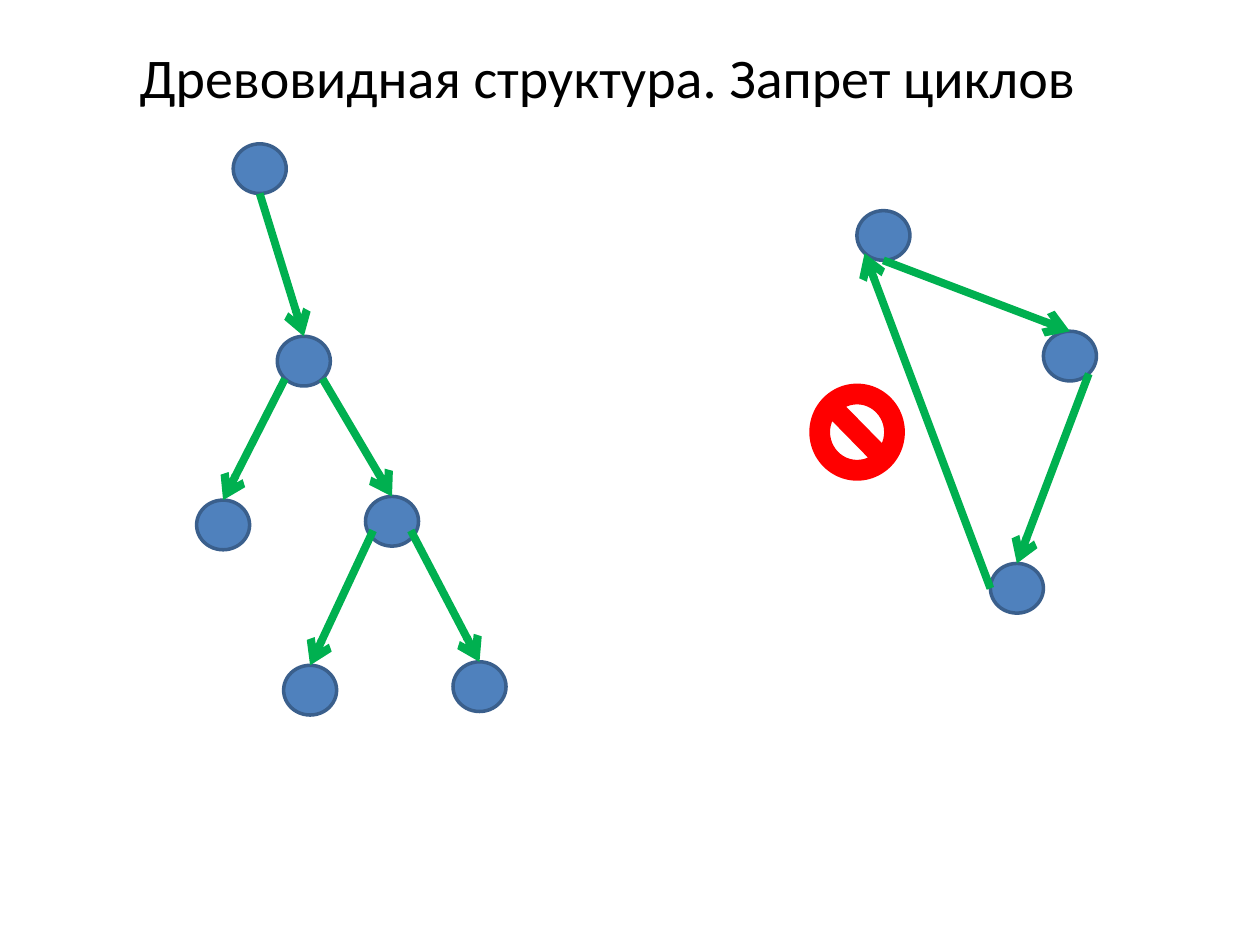
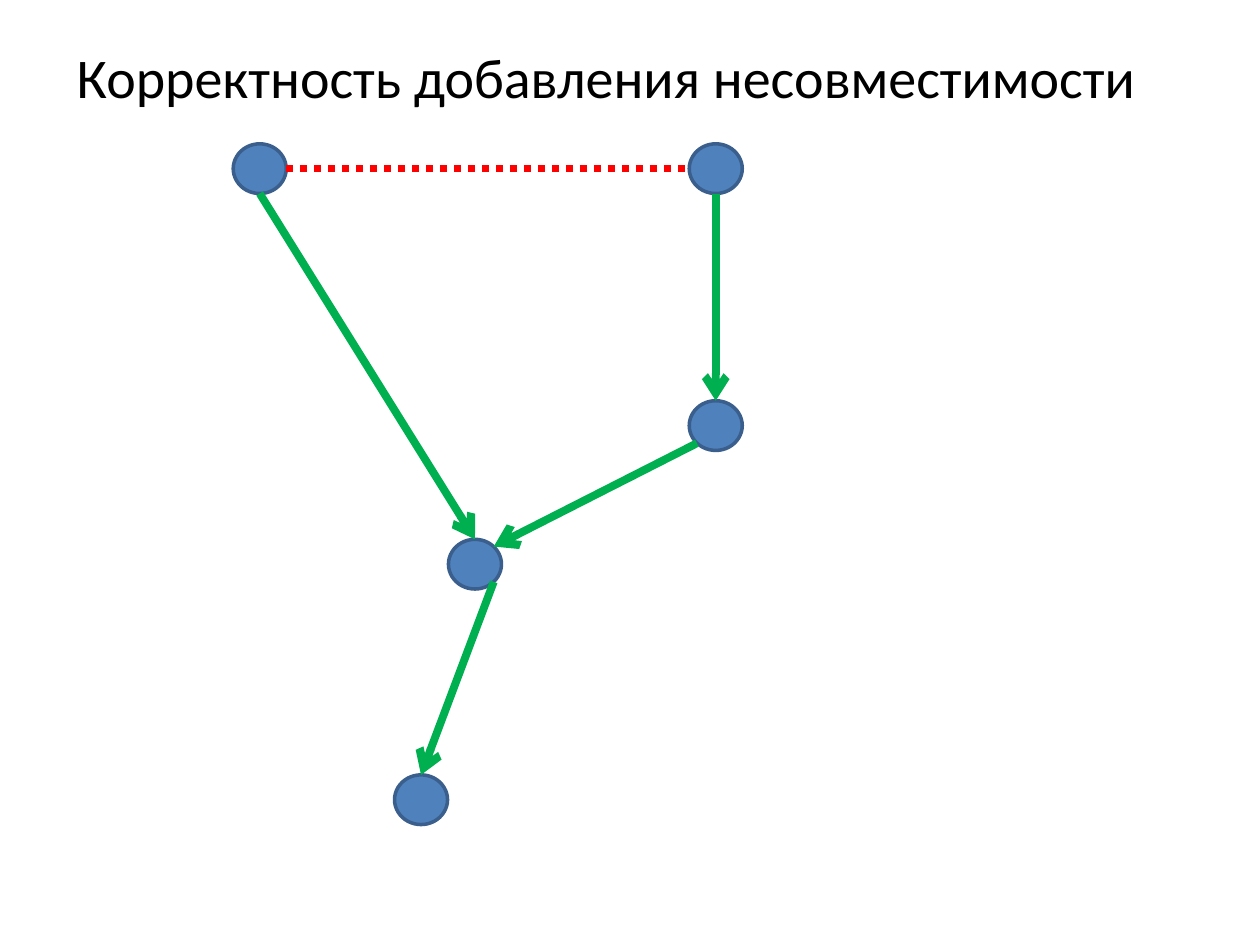
"""Build two slides on tree structure and incompatibility of graph nodes."""
from dataclasses import dataclass, field

from pptx import Presentation
from pptx.dml.color import RGBColor
from pptx.enum.dml import MSO_LINE
from pptx.enum.shapes import MSO_CONNECTOR, MSO_SHAPE
from pptx.enum.text import MSO_AUTO_SIZE
from pptx.oxml.ns import qn
from pptx.shapes.autoshape import Shape
from pptx.slide import Slide
from pptx.util import Pt
from lxml.etree import SubElement

COLORS = {
    "node": "4F81BD",
    "node_edge": "3A5F8C",
    "arrow": "00B050",
    "ban": "FF0000",
    "title": "000000",
}
FONT = "Calibri"
TITLE_SIZE = 32
TITLE_TOP, TITLE_HEIGHT = 20.9, 46
NODE_WIDTH, NODE_HEIGHT = 30.3, 28.4
OUTLINE, ARROW_WIDTH, CONFLICT_WIDTH = 2, 4.5, 4
ANCHORS = {
    "top": (0, -1),
    "bottom": (0, 1),
    "left": (-1, 0),
    "right": (1, 0),
    "top_right": (0.71, -0.71),
    "bottom_left": (-0.71, 0.71),
    "bottom_right": (0.71, 0.71),
    "low_left": (-0.71, 0.37),
    "low_right": (0.71, 0.37),
}


@dataclass(frozen=True)
class Link:
    """A line from one node's anchor to another's."""

    start: str
    start_anchor: str
    end: str
    end_anchor: str = "top"
    conflict: bool = False


@dataclass(frozen=True)
class Ban:
    """A prohibition sign, in points."""

    left: float
    top: float
    width: float
    height: float


@dataclass(frozen=True)
class Diagram:
    """A titled slide with node centres in points and the links between them."""

    title: str
    title_left: float
    title_width: float
    nodes: dict[str, tuple[float, float]]
    links: list[Link]
    bans: list[Ban] = field(default_factory=list)


DIAGRAMS = [
    Diagram(
        "Древовидная структура. Запрет циклов", 72.7, 554.4,
        {
            "root": (148.4, 96.4),
            "branch": (173.6, 206.4),
            "left_leaf": (127.5, 300),
            "right_branch": (224, 297.9),
            "inner_leaf": (177.2, 394.4),
            "outer_leaf": (274, 392.4),
            "cycle_top": (504.8, 134.6),
            "cycle_right": (611.4, 203.5),
            "cycle_bottom": (581.1, 336.2),
        },
        [
            Link("root", "bottom", "branch"),
            Link("branch", "bottom_right", "right_branch"),
            Link("branch", "bottom_left", "left_leaf"),
            Link("right_branch", "low_right", "outer_leaf"),
            Link("right_branch", "low_left", "inner_leaf"),
            Link("cycle_top", "bottom", "cycle_right"),
            Link("cycle_right", "bottom_right", "cycle_bottom"),
            Link("cycle_bottom", "left", "cycle_top", "bottom_left"),
        ],
        [Ban(463.5, 220.2, 52.6, 53.5)],
    ),
    Diagram(
        "Корректность добавления несовместимости", 36.7, 625,
        {
            "first_root": (148.4, 96.4),
            "second_root": (409, 96.4),
            "second_child": (409, 243.2),
            "shared_child": (271.4, 322.4),
            "leaf": (240.6, 457),
        },
        [
            Link("first_root", "bottom", "shared_child"),
            Link("shared_child", "bottom_right", "leaf"),
            Link("second_root", "bottom", "second_child"),
            Link("first_root", "right", "second_root", "left", conflict=True),
            Link("second_child", "bottom_left", "shared_child", "top_right"),
        ],
    ),
]


def rgb(role: str) -> RGBColor:
    """Return the colour of a role."""
    return RGBColor.from_string(COLORS[role])


def paint(shape: Shape, fill: str, edge: str) -> None:
    """Give a shape a flat fill and outline."""
    shape.shadow.inherit = False
    shape.fill.solid()
    shape.fill.fore_color.rgb = rgb(fill)
    shape.line.color.rgb = rgb(edge)
    shape.line.width = Pt(OUTLINE)


def draw_title(slide: Slide, diagram: Diagram) -> None:
    """Write the slide title."""
    box = slide.shapes.add_textbox(
        Pt(diagram.title_left), Pt(TITLE_TOP), Pt(diagram.title_width), Pt(TITLE_HEIGHT)
    )
    frame = box.text_frame
    frame.word_wrap = False
    frame.auto_size = MSO_AUTO_SIZE.SHAPE_TO_FIT_TEXT
    frame.text = diagram.title
    font = frame.paragraphs[0].runs[0].font
    font.name, font.size = FONT, Pt(TITLE_SIZE)
    font.color.rgb = rgb("title")


def draw_node(slide: Slide, center: tuple[float, float]) -> None:
    """Draw a node around its centre."""
    x, y = center
    node = slide.shapes.add_shape(
        MSO_SHAPE.OVAL, Pt(x - NODE_WIDTH / 2), Pt(y - NODE_HEIGHT / 2),
        Pt(NODE_WIDTH), Pt(NODE_HEIGHT),
    )
    paint(node, "node", "node_edge")


def anchor_point(center: tuple[float, float], anchor: str) -> tuple[Pt, Pt]:
    """Return the place of an anchor on a node's outline."""
    across, down = ANCHORS[anchor]
    return Pt(center[0] + across * NODE_WIDTH / 2), Pt(center[1] + down * NODE_HEIGHT / 2)


def draw_link(slide: Slide, nodes: dict[str, tuple[float, float]], link: Link) -> None:
    """Draw a green arrow, or a dotted red line for a conflict."""
    connector = slide.shapes.add_connector(
        MSO_CONNECTOR.STRAIGHT,
        *anchor_point(nodes[link.start], link.start_anchor),
        *anchor_point(nodes[link.end], link.end_anchor),
    )
    line = connector.line
    line.color.rgb = rgb("ban" if link.conflict else "arrow")
    line.width = Pt(CONFLICT_WIDTH if link.conflict else ARROW_WIDTH)
    properties = connector._element.spPr
    if link.conflict:
        line.dash_style = MSO_LINE.ROUND_DOT
    else:
        SubElement(properties.find(qn("a:ln")), qn("a:tailEnd"), type="arrow")
    SubElement(properties, qn("a:effectLst"))


def draw_ban(slide: Slide, ban: Ban) -> None:
    """Draw a prohibition sign."""
    sign = slide.shapes.add_shape(
        MSO_SHAPE.NO_SYMBOL, Pt(ban.left), Pt(ban.top), Pt(ban.width), Pt(ban.height)
    )
    paint(sign, "ban", "ban")


def main() -> None:
    """Build and save the presentation."""
    deck = Presentation()
    deck.slide_width, deck.slide_height = Pt(720), Pt(540)
    blank = deck.slide_layouts[6]
    for diagram in DIAGRAMS:
        slide = deck.slides.add_slide(blank)
        for center in diagram.nodes.values():
            draw_node(slide, center)
        for link in diagram.links:
            draw_link(slide, diagram.nodes, link)
        for ban in diagram.bans:
            draw_ban(slide, ban)
        draw_title(slide, diagram)
    deck.save("out.pptx")


main()
